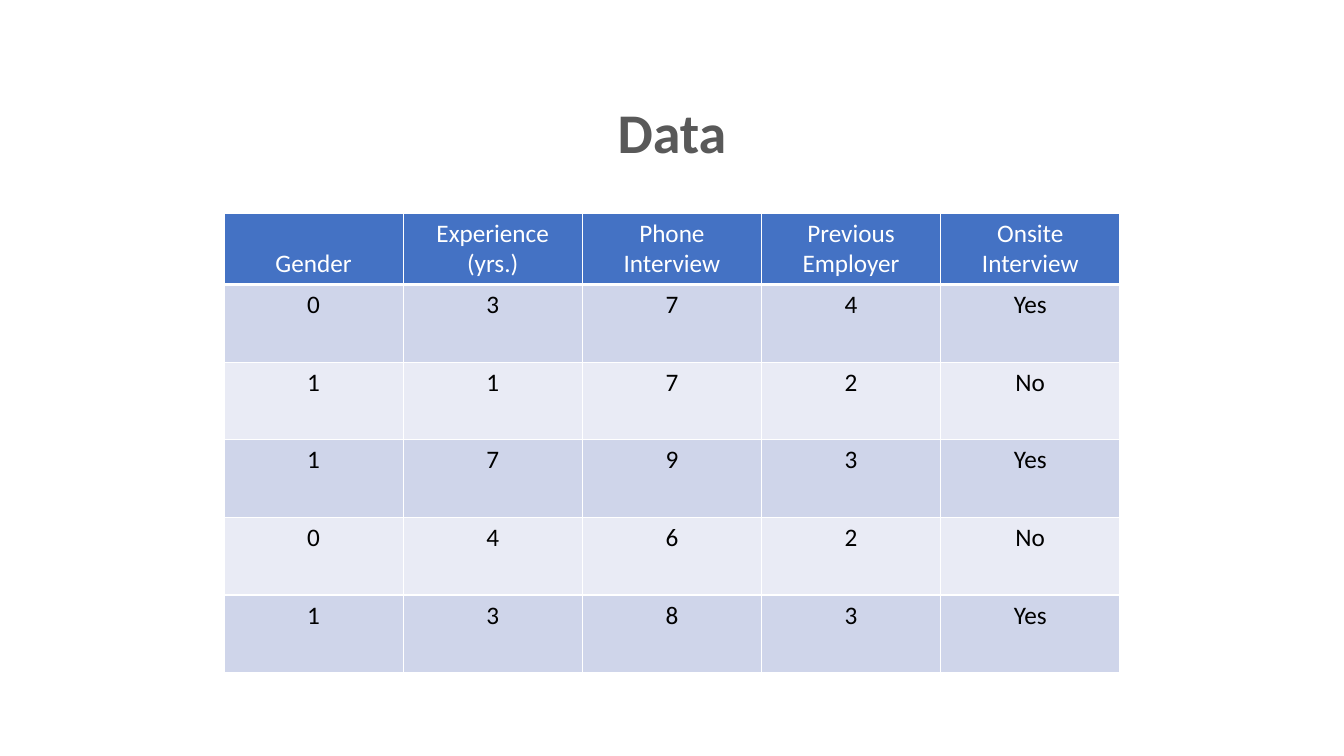
from lxml import etree
from pptx import Presentation
from pptx.dml.color import RGBColor
from pptx.enum.text import MSO_ANCHOR, PP_ALIGN
from pptx.oxml.ns import qn
from pptx.util import Pt

CENTER = PP_ALIGN.CENTER
TOP, MIDDLE, BOTTOM = MSO_ANCHOR.TOP, MSO_ANCHOR.MIDDLE, MSO_ANCHOR.BOTTOM

# Content
TITLE = "Data"
HEADERS = ["Gender", "Experience\n(yrs.)", "Phone Interview",
           "Previous Employer", "Onsite Interview"]
ROWS = [
    ["0", "3", "7", "4", "Yes"],
    ["1", "1", "7", "2", "No"],
    ["1", "7", "9", "3", "Yes"],
    ["0", "4", "6", "2", "No"],
    ["1", "3", "8", "3", "Yes"],
]

# Look
FONT = "Calibri"
WHITE, BLACK, GREY, BLUE = "FFFFFF", "000000", "595959", "4472C4"
BANDS = ["CFD5EA", "E9EBF5"]

# Layout in px
SLIDE_W, SLIDE_H = 1344, 756
TITLE_BOX = (455, 68, 434, 127)
TABLE_X, TABLE_Y, TABLE_W = 224, 213, 896
HEADER_H, BODY_H = 71, 388


def px(n):
    return round(n * 914400 / 100.8)


def rgb(value):
    return RGBColor.from_string(value)


def write(tf, text, size=18, color=BLACK, bold=False):
    tf.word_wrap = True
    for i, line in enumerate(text.split("\n")):
        p = tf.paragraphs[0] if i == 0 else tf.add_paragraph()
        p.alignment = CENTER
        r = p.add_run()
        r.text = line
        r.font.name = FONT
        r.font.size = Pt(size)
        r.font.bold = bold
        r.font.color.rgb = rgb(color)


def add_borders(cell, **widths):
    tc_pr = cell._tc.get_or_add_tcPr()
    for side in "LRTB":
        ln = etree.SubElement(tc_pr, qn(f"a:ln{side}"), w=str(Pt(widths.get(side, 1))))
        fill = etree.SubElement(ln, qn("a:solidFill"))
        etree.SubElement(fill, qn("a:srgbClr"), val=WHITE)


prs = Presentation()
prs.slide_width, prs.slide_height = px(SLIDE_W), px(SLIDE_H)
s = prs.slides.add_slide(prs.slide_layouts[6])

# Table
n_rows, n_cols = len(ROWS) + 1, len(HEADERS)
table = s.shapes.add_table(n_rows, n_cols, px(TABLE_X), px(TABLE_Y),
                           px(TABLE_W), px(HEADER_H + BODY_H)).table
table.first_row = table.horz_banding = False
for col in table.columns:
    col.width = px(TABLE_W / n_cols)

for i, values in enumerate([HEADERS] + ROWS):
    header = i == 0
    table.rows[i].height = px(HEADER_H if header else BODY_H / len(ROWS))
    for j, value in enumerate(values):
        cell = table.cell(i, j)
        add_borders(cell, B=3 if header else 1, T=3 if i == 1 else 1)
        cell.fill.solid()
        cell.fill.fore_color.rgb = rgb(BLUE if header else BANDS[(i - 1) % 2])
        cell.vertical_anchor = BOTTOM if header else TOP
        write(cell.text_frame, value, color=WHITE if header else BLACK)

# Title
tf = s.shapes.add_textbox(*map(px, TITLE_BOX)).text_frame
tf.vertical_anchor = MIDDLE
write(tf, TITLE, size=40, color=GREY, bold=True)

prs.save("out.pptx")
